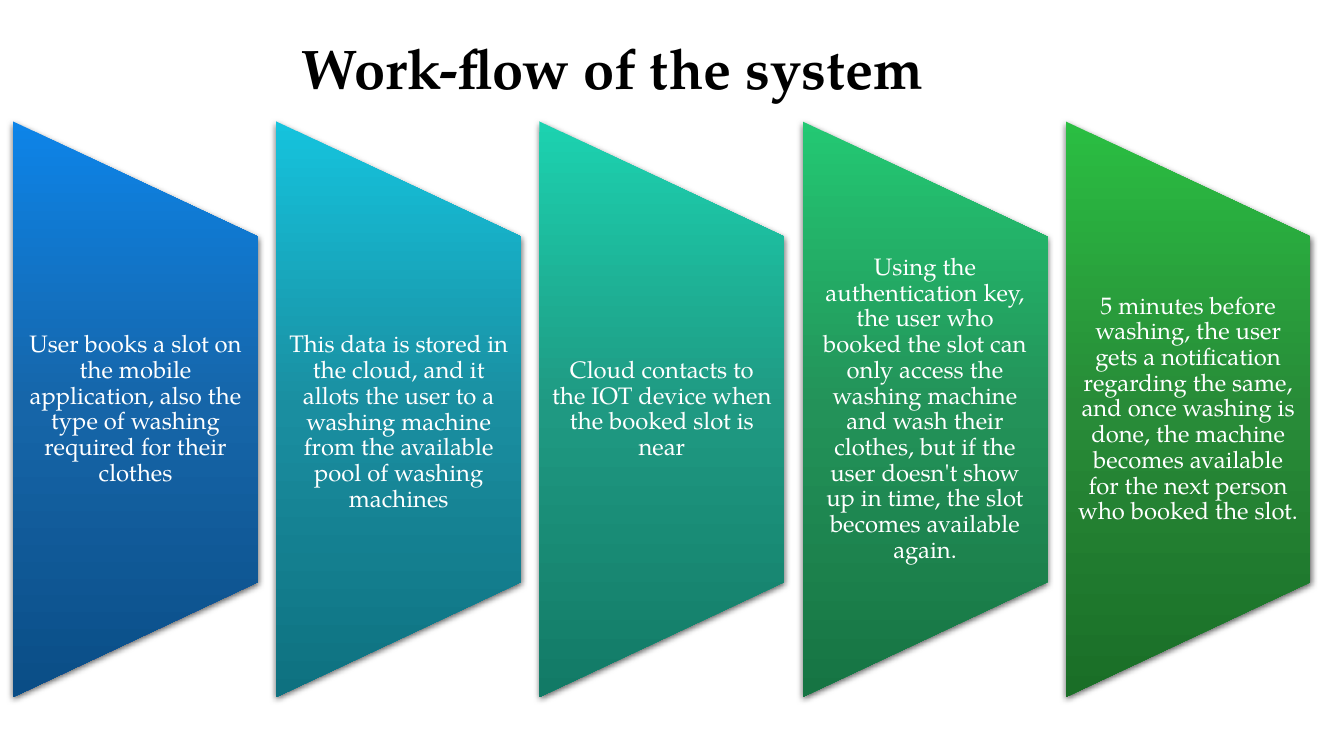
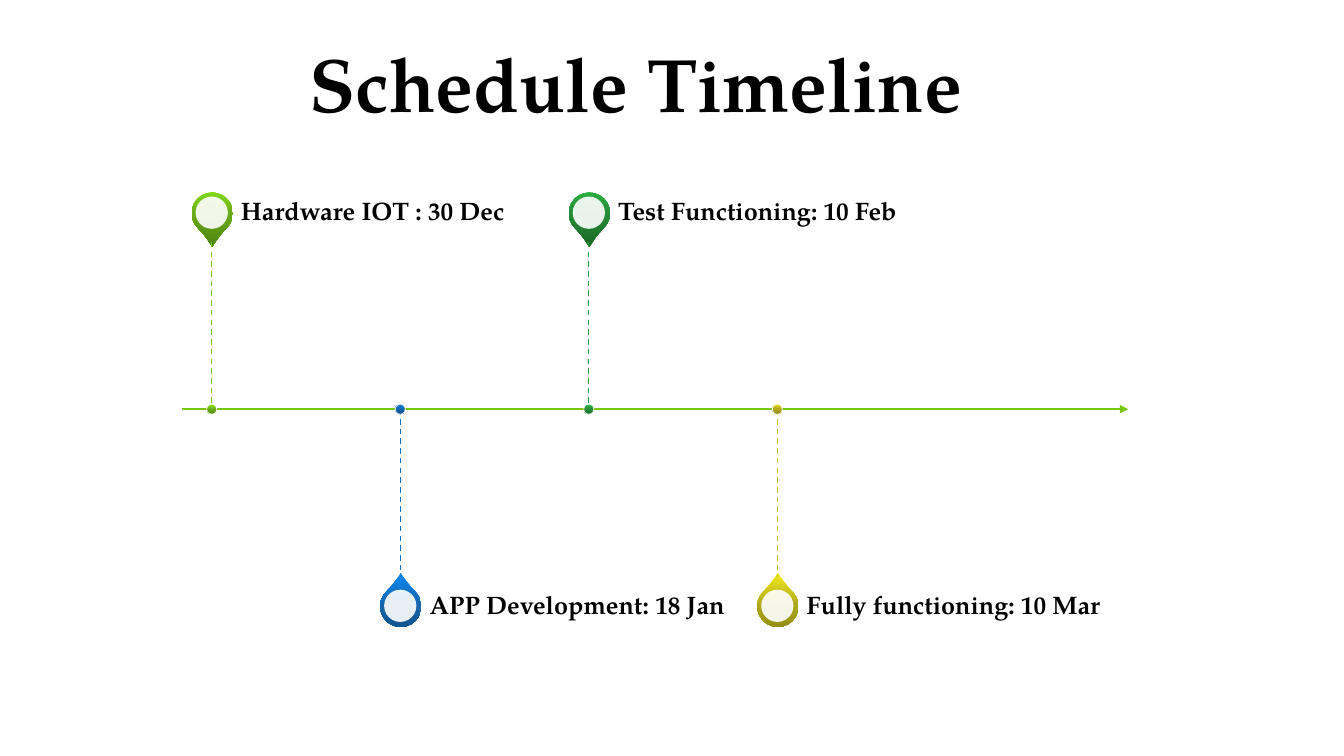
import copy

import pptx
import pptx.dml.color
import pptx.enum.dml
import pptx.enum.shapes
import pptx.enum.text
import pptx.oxml.ns
import pptx.util
from lxml import etree

Inches = pptx.util.Inches
Pt = pptx.util.Pt
RGB = pptx.dml.color.RGBColor
SHAPE = pptx.enum.shapes.MSO_SHAPE
LINE = pptx.enum.shapes.MSO_CONNECTOR.STRAIGHT
ANCHOR = pptx.enum.text.MSO_ANCHOR
ALIGN = pptx.enum.text.PP_ALIGN
qn = pptx.oxml.ns.qn

FACE = "TeX Gyre Pagella"
BLACK = RGB(0x00, 0x00, 0x00)
WHITE = RGB(0xFF, 0xFF, 0xFF)

# Gradient ramps, from top to bottom
BLUE = RGB(0x0D, 0x84, 0xE8), RGB(0x16, 0x65, 0xA8), RGB(0x0A, 0x4D, 0x86)
CYAN = RGB(0x15, 0xC3, 0xDD), RGB(0x1A, 0x8E, 0xA0), RGB(0x0E, 0x71, 0x80)
TEAL = RGB(0x1C, 0xD2, 0xB0), RGB(0x1F, 0x99, 0x82), RGB(0x12, 0x7A, 0x66)
JADE = RGB(0x23, 0xC8, 0x73), RGB(0x23, 0x92, 0x59), RGB(0x16, 0x74, 0x43)
GREEN = RGB(0x2A, 0xBE, 0x42), RGB(0x28, 0x8B, 0x38), RGB(0x1A, 0x6E, 0x27)
LIME = RGB(0x8B, 0xEB, 0x17), RGB(0x6B, 0xAC, 0x1B), RGB(0x51, 0x89, 0x0E)
GOLD = RGB(0xEA, 0xE1, 0x1A), RGB(0xAD, 0xA7, 0x1C), RGB(0x8A, 0x84, 0x0E)

# Line colours
LEAF = RGB(0x76, 0xC7, 0x14)
NAVY = RGB(0x0E, 0x70, 0xC2)
MOSS = RGB(0x25, 0x9F, 0x39)
SAND = RGB(0xC8, 0xC0, 0x15)


def write(shape, text, frame, font, align):
    """Fill a text shape with one paragraph; frame and font are format values."""
    body = shape.text_frame
    body.text = text
    para = body.paragraphs[0]
    para.alignment = align
    para.line_spacing = 0.9
    frame = {"word_wrap": True, "auto_size": pptx.enum.text.MSO_AUTO_SIZE.NONE, **frame}
    for part, values in ((body, frame), (para.runs[0].font, {"name": FACE, **font})):
        for key, value in values.items():
            setattr(part, key, value)
    para.runs[0].font.color.rgb = BLACK if font["bold"] else WHITE


def shade(shape, ramp):
    """Give a shape a three-stop vertical gradient, no line and no shadow."""
    shape.fill.gradient()
    grad = shape.element.spPr.find(qn("a:gradFill"))
    grad.set("rotWithShape", "0")
    stops = grad.find(qn("a:gsLst"))
    stops.append(copy.deepcopy(stops[0]))
    for stop, color, pos in zip(shape.fill.gradient_stops, ramp, (0, 0.5, 1)):
        stop.color.rgb = color
        stop.position = pos
    shape.fill.gradient_angle = 270
    shape.line.fill.background()
    shape.shadow.inherit = False


deck = pptx.Presentation()
deck.slide_width = Inches(13.33)
deck.slide_height = Inches(7.5)

# Slides and titles
slides = []
for text, size, box in (
    ("Work-flow of the system", 40, (2.89, 0.25, 7.38, 0.81)),
    ("Schedule Timeline", 54, (2.97, 0.08, 8.03, 1.25)),
):
    slide = deck.slides.add_slide(deck.slide_layouts[5])
    title = slide.shapes.title
    title.left, title.top, title.width, title.height = map(Inches, box)
    write(title, text, {"vertical_anchor": ANCHOR.BOTTOM},
          {"size": Pt(size), "bold": True}, ALIGN.LEFT)
    slides.append(slide.shapes)
flow, plan = slides

# Work-flow: one panel a step; the last value lowers the text
steps = (
    (BLUE, "User books a slot on the mobile application, also the type of "
           "washing required for their clothes", 0),
    (CYAN, "This data is stored in the cloud, and it allots the user to a "
           "washing machine from the available pool of washing machines", 0.13),
    (TEAL, "Cloud contacts to the IOT device when the booked slot is near", 0),
    (JADE, "Using the authentication key, the user who booked the slot can "
           "only access the washing machine and wash their clothes, but if the "
           "user doesn't show up in time, the slot becomes available again.", 0),
    (GREEN, "5 minutes before washing, the user gets a notification regarding "
            "the same, and once washing is done, the machine becomes available "
            "for the next person who booked the slot.", 0),
)
WIDE, TALL, MID = 2.43, 5.71, 4.06
for i, (ramp, text, drop) in enumerate(steps):
    left = 0.13 + 2.61 * i
    panel = flow.add_shape(
        SHAPE.FLOWCHART_MANUAL_OPERATION, Inches(left + (WIDE - TALL) / 2),
        Inches(MID - WIDE / 2), Inches(TALL), Inches(WIDE))
    panel.rotation = 270
    shade(panel, ramp)
    glow = etree.SubElement(
        panel.element.spPr.find(qn("a:effectLst")), qn("a:outerShdw"),
        blurRad=str(Pt(4.5)), dist=str(Pt(1.5)), dir="5400000", rotWithShape="0")
    tone = etree.SubElement(glow, qn("a:srgbClr"), val=str(BLACK))
    etree.SubElement(tone, qn("a:alpha"), val="63000")

    label = flow.add_textbox(Inches(left), Inches(2.35 + drop), Inches(WIDE), Inches(3.42))
    write(label, text,
          {"vertical_anchor": ANCHOR.MIDDLE, "margin_left": Inches(0.12),
           "margin_right": Inches(0.12), "margin_top": 0, "margin_bottom": 0},
          {"size": Pt(17), "bold": False}, ALIGN.CENTER)

# Timeline: axis, then pins by turns above and below it
axis = plan.add_connector(LINE, Inches(1.81), Inches(MID), Inches(11.19), Inches(MID))
axis.line.color.rgb = LEAF
axis.line.width = Pt(1.5)
etree.SubElement(axis.line._get_or_add_ln(), qn("a:tailEnd"), type="triangle")
etree.SubElement(axis.element.spPr, qn("a:effectLst"))

dates = (
    (LIME, LEAF, "Hardware IOT : 30 Dec"),
    (BLUE, NAVY, "APP Development: 18 Jan"),
    (GREEN, MOSS, "Test Functioning: 10 Feb"),
    (GOLD, SAND, "Fully functioning: 10 Mar"),
)
for i, (ramp, color, text) in enumerate(dates):
    x = 2.1 + 1.87 * i
    side = 1 if i % 2 else -1
    y = MID + 1.95 * side

    pin = plan.add_shape(SHAPE.TEAR, Inches(x - 0.2), Inches(y - 0.2),
                         Inches(0.41), Inches(0.41))
    pin.adjustments[0] = 1.15
    pin.rotation = 315 if side > 0 else 135
    shade(pin, ramp)

    disc = plan.add_shape(SHAPE.OVAL, Inches(x - 0.16), Inches(y - 0.16),
                          Inches(0.32), Inches(0.32))
    disc.fill.solid()
    disc.fill.fore_color.rgb = WHITE
    tone = disc.element.spPr.find(qn("a:solidFill"))[0]
    etree.SubElement(tone, qn("a:alpha"), val="90000")
    disc.line.fill.background()
    disc.shadow.inherit = False

    label = plan.add_textbox(Inches(x + 0.29), Inches(y - 0.29), Inches(3.12), Inches(0.58))
    write(label, text,
          {"vertical_anchor": ANCHOR.MIDDLE, "margin_left": 0,
           "margin_right": Inches(0.12), "margin_top": 0, "margin_bottom": 0},
          {"size": Pt(18), "bold": True}, ALIGN.LEFT)

    ends = sorted((MID, MID + 1.66 * side))
    stem = plan.add_connector(LINE, Inches(x), Inches(ends[0]), Inches(x), Inches(ends[1]))
    stem.line.color.rgb = color
    stem.line.width = Pt(1)
    stem.line.dash_style = pptx.enum.dml.MSO_LINE.DASH
    etree.SubElement(stem.element.spPr, qn("a:effectLst"))

    dot = plan.add_shape(SHAPE.OVAL, Inches(x - 0.05), Inches(MID - 0.05),
                         Inches(0.1), Inches(0.1))
    shade(dot, ramp)
    dot.line.color.rgb = WHITE
    dot.line.width = Pt(0.5)

deck.save("out.pptx")
